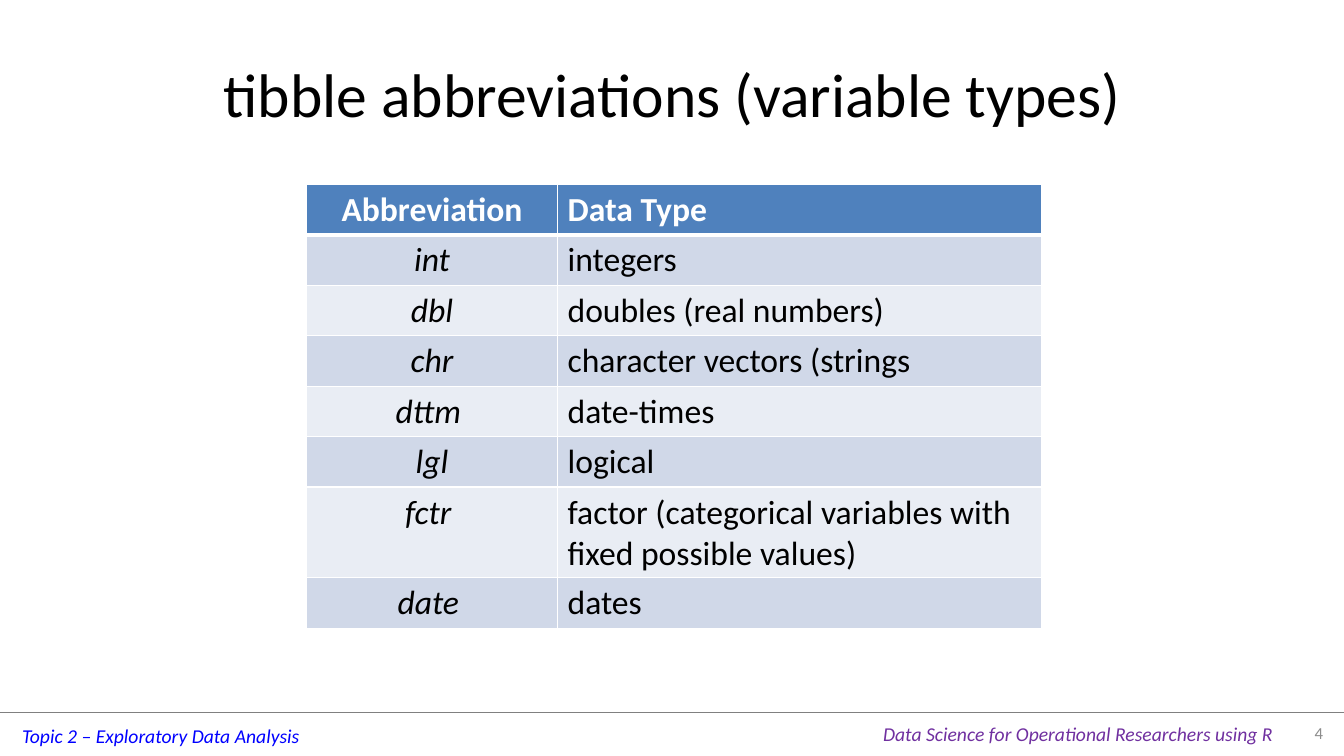
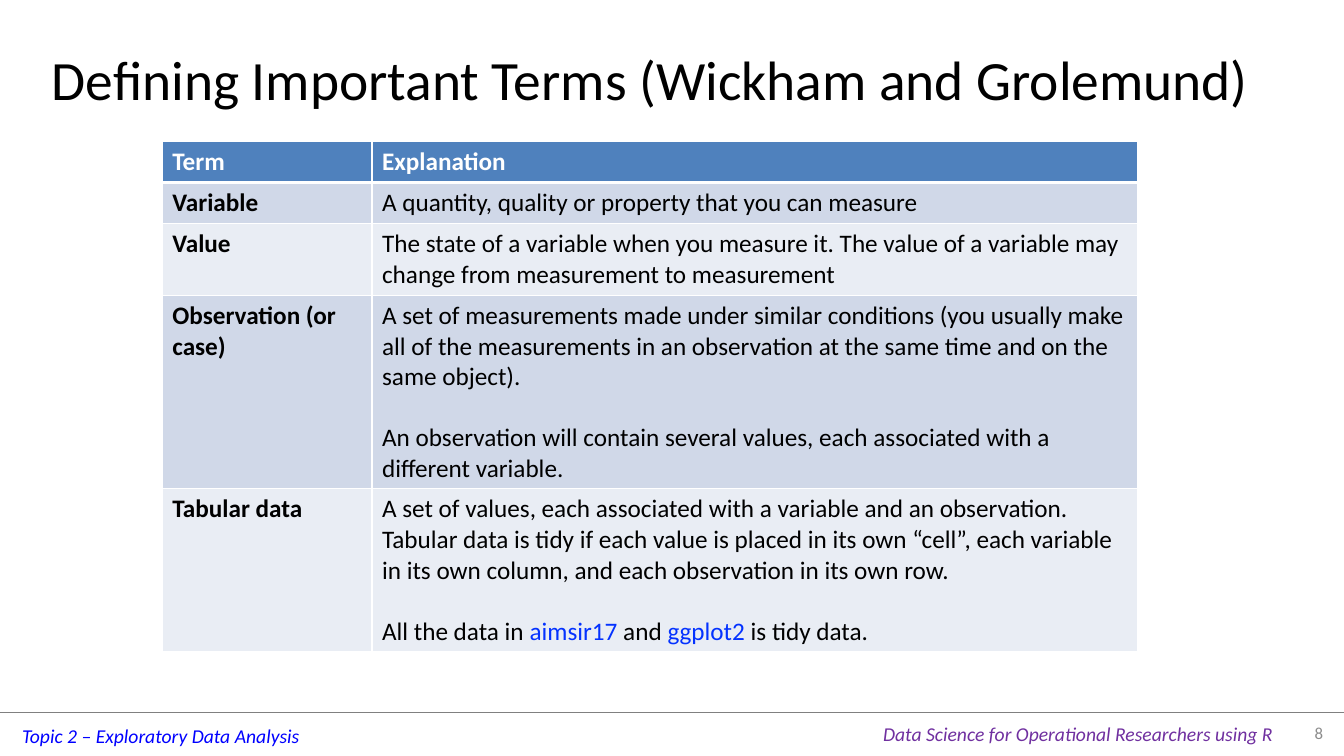
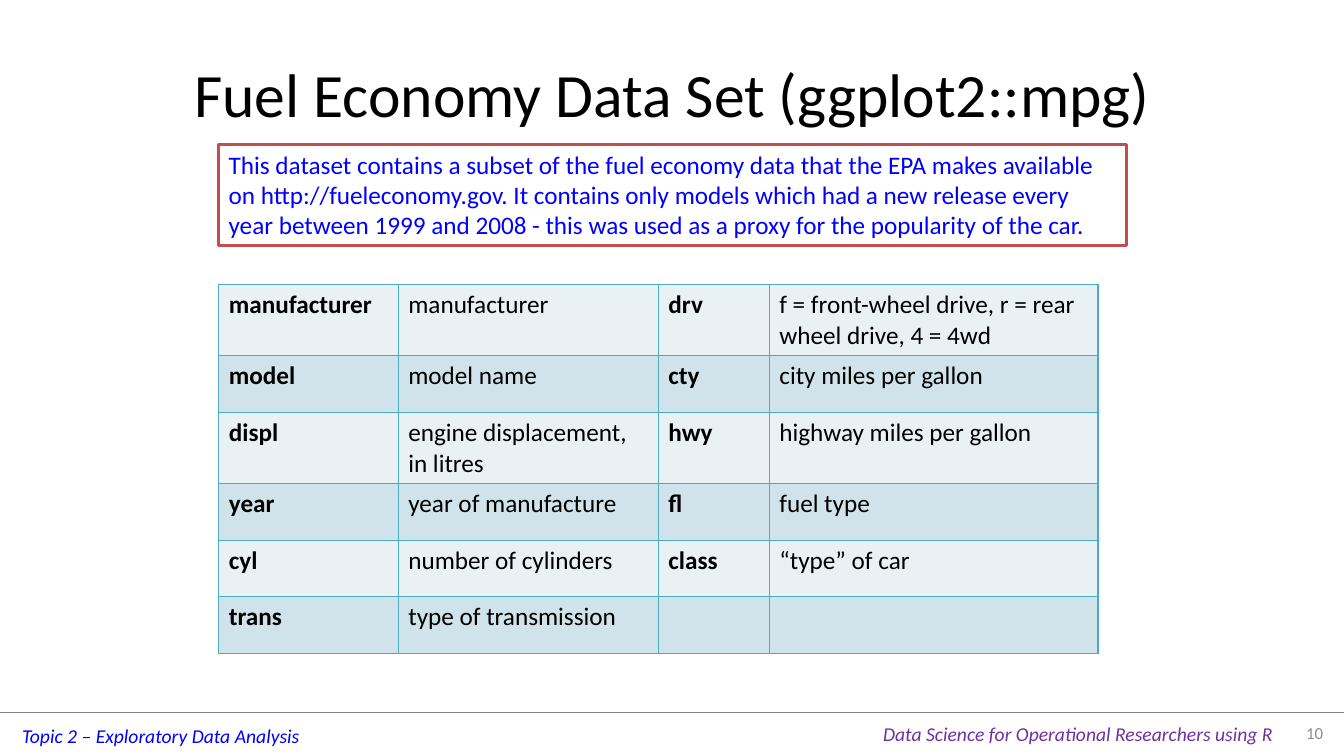
from lxml.etree import SubElement
from pptx import Presentation
from pptx.dml.color import RGBColor
from pptx.enum.shapes import MSO_CONNECTOR, MSO_SHAPE
from pptx.enum.text import MSO_ANCHOR, MSO_AUTO_SIZE, PP_ALIGN
from pptx.oxml.ns import qn
from pptx.util import Inches, Pt

# Shared style
FONT = "Calibri"
BLACK = RGBColor(0x00, 0x00, 0x00)
WHITE = RGBColor(0xFF, 0xFF, 0xFF)
GREY = RGBColor(0x80, 0x80, 0x80)
PAGE_GREY = RGBColor(0x8C, 0x8C, 0x8C)
BLUE = RGBColor(0x00, 0x00, 0xFF)
WORD_BLUE = RGBColor(0x04, 0x32, 0xFF)
PURPLE = RGBColor(0x70, 0x30, 0xA0)
RED = RGBColor(0xC0, 0x50, 0x4D)
HEADER_BLUE = RGBColor(0x4F, 0x81, 0xBD)
BLUE_BANDS = (RGBColor(0xD0, 0xD8, 0xE8), RGBColor(0xE9, 0xED, 0xF4))
TEAL = RGBColor(0x4B, 0xAC, 0xC6)
TEAL_BANDS = (RGBColor(0xE9, 0xF1, 0xF5), RGBColor(0xD0, 0xE3, 0xEA))

SLIDE_WIDTH, SLIDE_HEIGHT = 13.33, 7.5
FOOTER_TOP = 7.07
TITLE_AREA = (0.67, 0.3, 12, 1.25)

# Table wording: a line break starts a paragraph, asterisks mark coloured words
TYPE_ROWS = [
    ("Abbreviation", "Data Type"),
    ("int", "integers"),
    ("dbl", "doubles (real numbers)"),
    ("chr", "character vectors (strings"),
    ("dttm ", "date-times"),
    ("lgl", "logical"),
    ("fctr ", "factor (categorical variables with fixed possible values)"),
    ("date ", "dates"),
]
TERM_ROWS = [
    ("Term", "Explanation"),
    ("Variable", "A quantity, quality or property that you can measure"),
    ("Value", "The state of a variable when you measure it. The value of a "
     "variable may change from measurement to measurement"),
    ("Observation (or case)",
     "A set of measurements made under similar conditions (you usually make "
     "all of the measurements in an observation at the same time and on the "
     "same object).\n"
     "An observation will contain several values, each associated with a "
     "different variable."),
    ("Tabular data",
     "A set of values, each associated with a variable and an observation. "
     "Tabular data is tidy if each value is placed in its own “cell”, each "
     "variable in its own column, and each observation in its own row.\n"
     "All the data in *aimsir17* and *ggplot2* is tidy data."),
]
MPG_ROWS = [
    ("manufacturer", "manufacturer", "drv",
     "f = front-wheel drive, r = rear wheel drive, 4 = 4wd"),
    ("model", "model name", "cty", "city miles per gallon"),
    ("displ", "engine displacement, in litres", "hwy", "highway miles per gallon"),
    ("year", "year of manufacture", "fl", "fuel type"),
    ("cyl", "number of cylinders", "class", "“type” of car"),
    ("trans", "type of transmission", "", ""),
]
MPG_NOTE = (
    "This dataset contains a subset of the fuel economy data that the EPA makes "
    "available on http://fueleconomy.gov. It contains only models which had a new "
    "release every year between 1999 and 2008 - this was used as a proxy for the "
    "popularity of the car."
)


def inches(*lengths):
    return [Inches(length) for length in lengths]


def style_font(font, size, color, bold=False, italic=False):
    font.name, font.size = FONT, Pt(size)
    font.bold, font.italic = bold, italic
    font.color.rgb = color


def set_text(frame, text, size, color, align=PP_ALIGN.LEFT, italic=False):
    frame.text = text
    para = frame.paragraphs[0]
    para.alignment = align
    style_font(para.runs[0].font, size, color, italic=italic)


def add_label(slide, area, text, size, color, **style):
    box = slide.shapes.add_textbox(*inches(*area))
    set_text(box.text_frame, text, size, color, **style)
    return box


# Footer, kept on the layout that all slides use
def add_footer(slide, layout):
    for placeholder in list(layout.placeholders)[1:]:
        layout.shapes.element.remove(placeholder.element)
    rule = slide.shapes.add_connector(
        MSO_CONNECTOR.STRAIGHT, *inches(0, FOOTER_TOP, SLIDE_WIDTH, FOOTER_TOP))
    rule.line.color.rgb, rule.line.width = GREY, Pt(0.25)
    SubElement(rule.element.spPr, qn("a:effectLst"))
    topic = add_label(slide, (0.12, 7.13, 2.98, 0.34),
                      "Topic 2 – Exploratory Data Analysis", 14, BLUE, italic=True)
    course = add_label(slide, (8.66, 7.11, 4.11, 0.34),
                       "Data Science for Operational Researchers using R",
                       14, PURPLE, italic=True)
    for part in (rule, topic, course):
        layout.shapes.element.append(part.element)


def add_slide(deck, layout, title, number, area=TITLE_AREA, size=44):
    slide = deck.slides.add_slide(layout)
    heading = slide.shapes.title
    heading.left, heading.top, heading.width, heading.height = inches(*area)
    frame = heading.text_frame
    set_text(frame, title, size, BLACK, PP_ALIGN.CENTER)
    frame.auto_size = MSO_AUTO_SIZE.NONE
    frame.vertical_anchor = MSO_ANCHOR.MIDDLE
    if number is not None:
        page = add_label(slide, (12.67, FOOTER_TOP, 0.55, 0.39), str(number),
                         12, PAGE_GREY, align=PP_ALIGN.RIGHT)
        page.text_frame.word_wrap = True
        page.text_frame.vertical_anchor = MSO_ANCHOR.MIDDLE
    return slide


# Tables
def set_borders(cell, color, top=1, bottom=1):
    properties = cell._tc.get_or_add_tcPr()
    for side, width in (("L", 1), ("R", 1), ("T", top), ("B", bottom)):
        line = SubElement(properties, qn(f"a:ln{side}"), w=str(Pt(width)))
        fill = SubElement(line, qn("a:solidFill"))
        SubElement(fill, qn("a:srgbClr"), val=str(color))


def fill_cell(cell, text, size, color, align, bold, italic):
    frame = cell.text_frame
    frame.text = text
    for index, para in enumerate(frame.paragraphs):
        para.alignment = align
        if index:
            para.space_before = Pt(size * 1.2)
        pieces = para.text.split("*")
        para.text = ""
        for order, piece in enumerate(pieces):
            span = para.add_run()
            span.text = piece
            style_font(span.font, size, WORD_BLUE if order % 2 else color, bold, italic)


def add_table(slide, left, top, widths, heights, rows, size, bands, border,
              header=True, bold_columns=(), centred_columns=()):
    """Banded table; centred columns hold italic codes under the header."""
    frame = slide.shapes.add_table(
        len(rows), len(widths), *inches(left, top, sum(widths), sum(heights)))
    table = frame.table
    table.first_row = table.horz_banding = False
    for column, width in zip(table.columns, widths):
        column.width = Inches(width)
    for r, (row, height) in enumerate(zip(rows, heights)):
        table.rows[r].height = Inches(height)
        is_header = header and r == 0
        for c, text in enumerate(row):
            cell = table.cell(r, c)
            centred = c in centred_columns
            set_borders(cell, border, top=3 if header and r == 1 else 1,
                        bottom=3 if is_header else 1)
            cell.fill.solid()
            cell.fill.fore_color.rgb = HEADER_BLUE if is_header else bands[(r - header) % 2]
            fill_cell(cell, text, size, WHITE if is_header else BLACK,
                      PP_ALIGN.CENTER if centred else PP_ALIGN.LEFT,
                      bold=is_header or c in bold_columns,
                      italic=centred and not is_header)


def add_note(slide, area, text):
    box = slide.shapes.add_shape(MSO_SHAPE.RECTANGLE, *inches(*area))
    box.shadow.inherit = False
    box.fill.solid()
    box.fill.fore_color.rgb = WHITE
    box.line.color.rgb, box.line.width = RED, Pt(2)
    box.text_frame.word_wrap = True
    box.text_frame.vertical_anchor = MSO_ANCHOR.TOP
    set_text(box.text_frame, text, 18, BLUE)


def main():
    deck = Presentation()
    deck.slide_width, deck.slide_height = inches(SLIDE_WIDTH, SLIDE_HEIGHT)
    layout = deck.slide_layouts.get_by_name("Title Only")

    # Variable types
    slide = add_slide(deck, layout, "tibble abbreviations (variable types)", 4)
    add_footer(slide, layout)
    add_table(slide, 3.04, 1.83, (2.49, 4.8), [0.5] * 6 + [0.9, 0.5], TYPE_ROWS,
              24, BLUE_BANDS, WHITE, centred_columns=(0,))

    # Terms
    slide = add_slide(deck, layout, "Defining Important Terms (Wickham and Grolemund)",
                      8, area=(0.23, 0.15, 12.44, 1.25), size=39.6)
    add_table(slide, 1.61, 1.4, (2.08, 7.59), (0.41, 0.41, 0.71, 1.92, 1.62),
              TERM_ROWS, 18, BLUE_BANDS, WHITE, bold_columns=(0,))

    # Fuel economy variables
    slide = add_slide(deck, layout, "Fuel Economy Data Set (ggplot2::mpg)", 10)
    add_table(slide, 2.17, 2.82, (1.78, 2.58, 1.1, 3.26),
              (0.71, 0.56, 0.71, 0.56, 0.56, 0.56), MPG_ROWS, 18, TEAL_BANDS, TEAL,
              header=False, bold_columns=(0, 2))
    add_note(slide, (2.17, 1.43, 9, 1.01), MPG_NOTE)

    deck.save("out.pptx")


if __name__ == "__main__":
    main()
